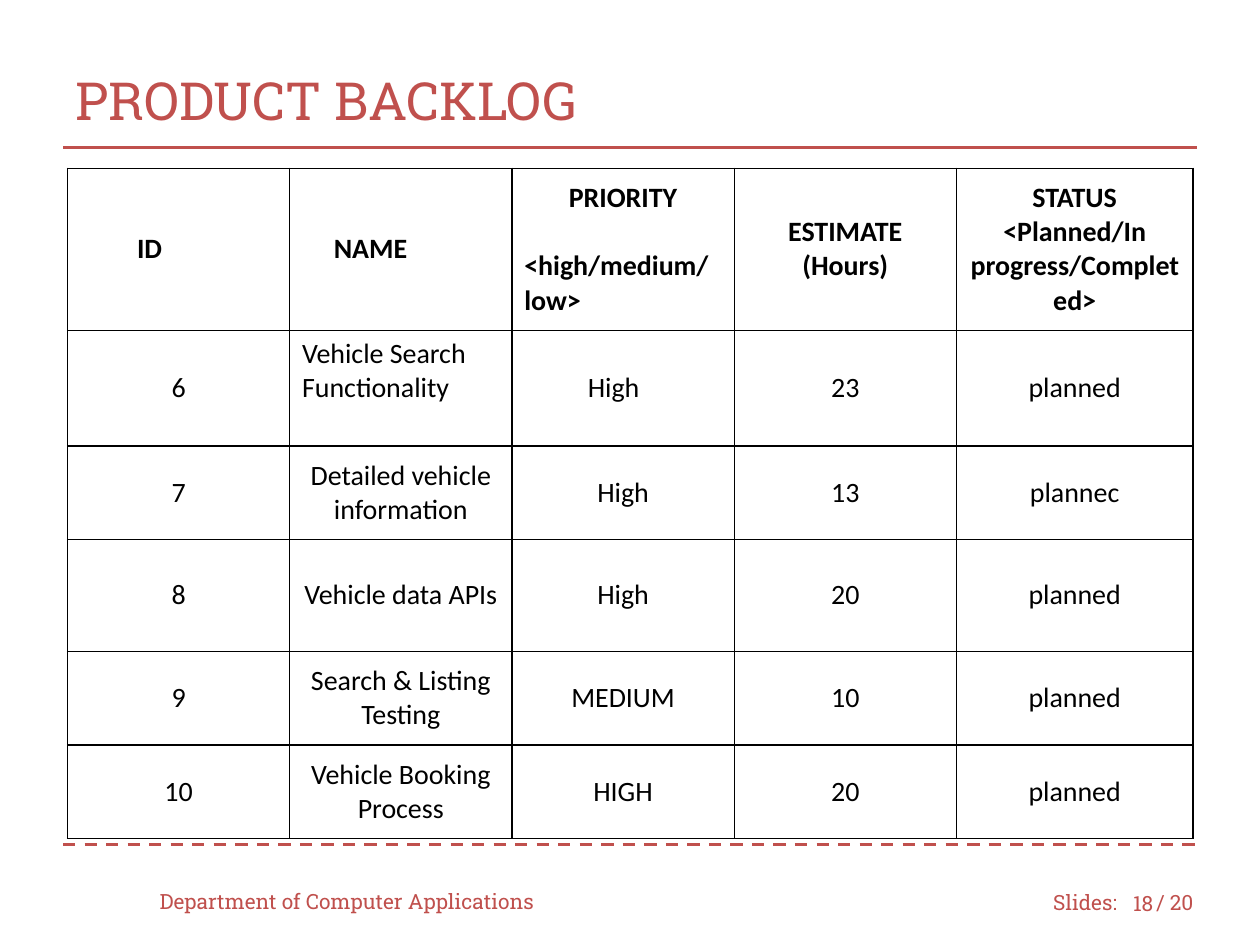
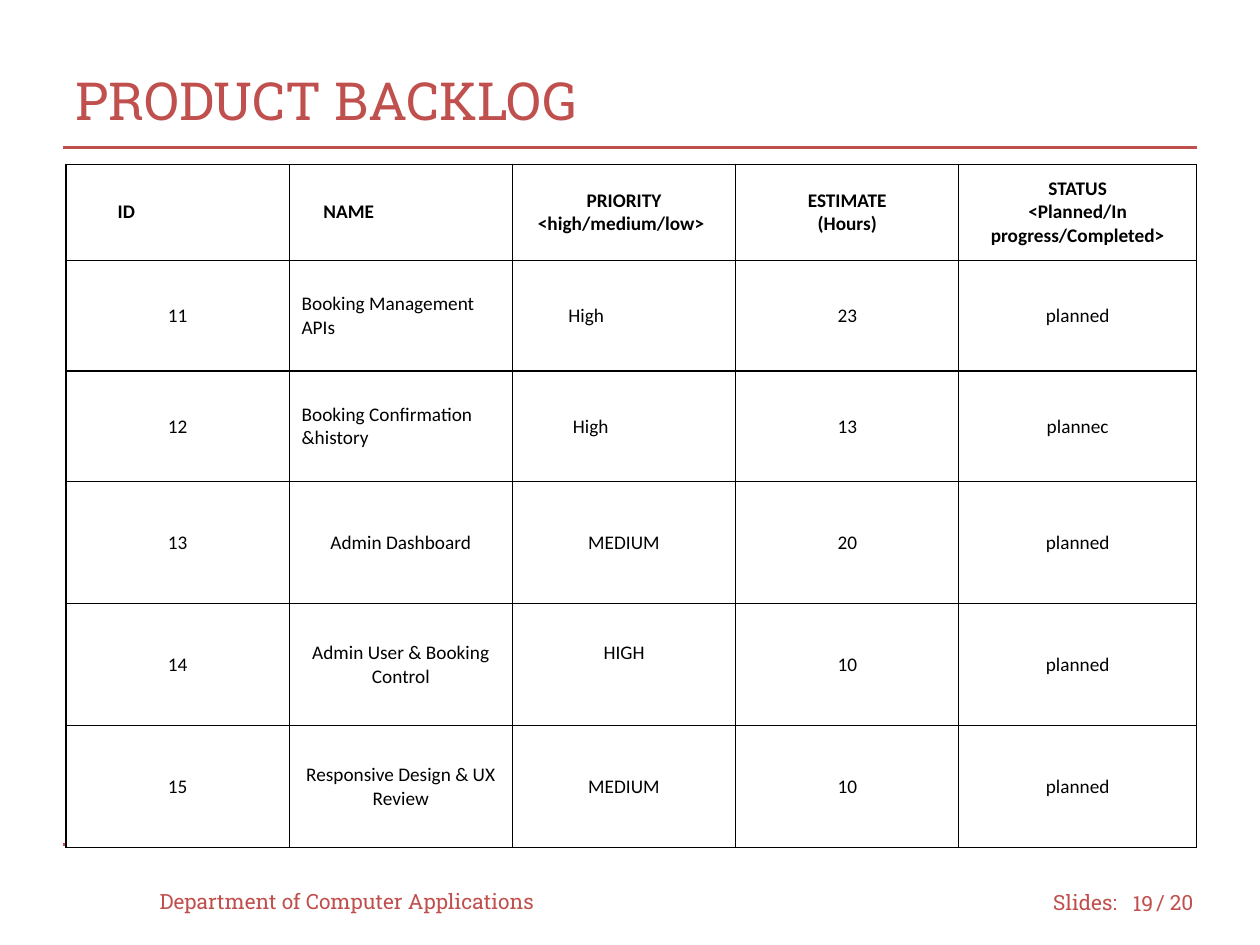
from dataclasses import dataclass

from lxml.etree import SubElement
from pptx import Presentation
from pptx.dml.color import RGBColor
from pptx.enum.dml import MSO_LINE
from pptx.enum.shapes import MSO_CONNECTOR
from pptx.enum.text import MSO_ANCHOR, PP_ALIGN
from pptx.oxml.ns import qn
from pptx.util import Cm, Pt

ACCENT, INK, PAPER = "C0504D", "000000", "FFFFFF"
DISPLAY_FONT, TABLE_FONT = "Roboto Slab", "Calibri"
SPACE_CM, LINE_CM = 0.008, 0.043
CELL_PAD = 0.13
RULE_LEFT, RULE_RIGHT = 1.27, 24.13


@dataclass(frozen=True)
class Line:
    """One paragraph; indent counts space widths, gap counts lines above it."""
    text: str
    indent: int | None = None
    gap: int = 0


@dataclass(frozen=True)
class Entry:
    """The lines of one table cell and the number of lines kept free below."""
    lines: tuple[Line, ...]
    spare: int = 0


@dataclass(frozen=True)
class Label:
    """A short footer text and its box in centimetres."""
    text: str
    left: float
    top: float
    width: float
    align: PP_ALIGN = PP_ALIGN.LEFT


@dataclass(frozen=True)
class Backlog:
    """One backlog page with its table measures in centimetres."""
    page: str
    size: int
    left: float
    top: float
    columns: tuple[float, ...]
    row_heights: tuple[float, ...]
    priority_scale: Line
    items: tuple[tuple[str | Entry, ...], ...]


FOOTER = (
    Label("Slides:", 20.98, 17.68, 1.9),
    Label("/ 20", 23.06, 17.68, 1.47),
    Label("Department of Computer Applications", 2.97, 17.65, 8.46),
)


def indented(text: str, indent: int = 0, spare: int = 0) -> Entry:
    """Return a left-aligned single-line entry."""
    return Entry((Line(text, indent),), spare)


BACKLOGS = (
    Backlog(
        "18", 16, 1.36, 3.39, (4.48,) * 4 + (4.77,),
        (3.27, 2.33, 1.88, 2.26, 1.89, 1.89),
        Line("<high/medium/low>", indent=0, gap=1),
        (
            ("6", indented("Vehicle Search Functionality", spare=1),
             indented("High", 10), "23", "planned"),
            ("7", "Detailed vehicle information", "High", "13", "plannec"),
            ("8", "Vehicle data APIs", "High", "20", "planned"),
            ("9", "Search & Listing Testing", "MEDIUM", "10", "planned"),
            ("10", "Vehicle Booking Process", "HIGH", "20", "planned"),
        ),
    ),
    Backlog(
        "19", 11, 1.33, 3.31, (4.5,) * 4 + (4.79,),
        (1.94,) + (2.23,) * 2 + (2.46,) * 3,
        Line("<high/medium/low>", indent=3),
        (
            ("11", indented("Booking Management APIs"),
             indented("High", 10), "23", "planned"),
            ("12", indented("Booking Confirmation &history"),
             indented("High", 11), "13", "plannec"),
            ("13", "Admin Dashboard", "MEDIUM", "20", "planned"),
            ("14", "Admin User & Booking Control",
             Entry((Line("HIGH"),), spare=1), "10", "planned"),
            ("15", "Responsive Design & UX Review", "MEDIUM", "10", "planned"),
        ),
    ),
)


def colour(value: str) -> RGBColor:
    """Turn a hex string into a colour."""
    return RGBColor.from_string(value)


def add_run(paragraph, text: str, size: int, font: str, ink: str,
            bold: bool = False) -> None:
    """Append one formatted run to a paragraph."""
    run = paragraph.add_run()
    run.text = text
    run.font.size = Pt(size)
    run.font.name = font
    run.font.bold = bold
    run.font.color.rgb = colour(ink)


def add_rule(slide, y: float, dash: MSO_LINE | None = None) -> None:
    """Draw a horizontal accent line across the content width."""
    rule = slide.shapes.add_connector(
        MSO_CONNECTOR.STRAIGHT, Cm(RULE_LEFT), Cm(y), Cm(RULE_RIGHT), Cm(y))
    rule.line.color.rgb = colour(ACCENT)
    rule.line.width = Pt(1.75)
    if dash is not None:
        rule.line.dash_style = dash
    SubElement(rule._element.spPr, qn("a:effectLst"))


def add_label(slide, label: Label) -> None:
    """Place one footer text."""
    frame = slide.shapes.add_textbox(
        Cm(label.left), Cm(label.top), Cm(label.width), Cm(1.02)).text_frame
    frame.word_wrap = True
    frame.vertical_anchor = MSO_ANCHOR.MIDDLE
    paragraph = frame.paragraphs[0]
    paragraph.alignment = label.align
    add_run(paragraph, label.text, 12, DISPLAY_FONT, ACCENT)


def set_title(slide, text: str) -> None:
    """Move, format and fill the title placeholder."""
    title = slide.shapes.title
    title.left, title.top = Cm(1.27), Cm(0.84)
    title.width, title.height = Cm(22.86), Cm(2.34)
    title.text_frame.vertical_anchor = MSO_ANCHOR.MIDDLE
    paragraph = title.text_frame.paragraphs[0]
    paragraph.alignment = PP_ALIGN.LEFT
    add_run(paragraph, text, 30, DISPLAY_FONT, ACCENT)


def add_borders(cell) -> None:
    """Give a cell thin lines on all four sides."""
    properties = cell._tc.get_or_add_tcPr()
    for side in ("a:lnL", "a:lnR", "a:lnT", "a:lnB"):
        border = SubElement(properties, qn(side), w=str(Pt(0.75)))
        SubElement(SubElement(border, qn("a:solidFill")), qn("a:srgbClr"), val=INK)


def fill_cell(cell, entry: Entry, size: int, bold: bool) -> None:
    """Format a cell and write its lines."""
    add_borders(cell)
    cell.fill.solid()
    cell.fill.fore_color.rgb = colour(PAPER)
    cell.vertical_anchor = MSO_ANCHOR.MIDDLE
    cell.margin_left = cell.margin_right = Cm(0.25)
    cell.margin_top = Cm(CELL_PAD)
    cell.margin_bottom = Cm(CELL_PAD + entry.spare * size * LINE_CM)
    frame = cell.text_frame
    for index, line in enumerate(entry.lines):
        paragraph = frame.add_paragraph() if index else frame.paragraphs[0]
        if line.indent is None:
            paragraph.alignment = PP_ALIGN.CENTER
        else:
            paragraph.alignment = PP_ALIGN.LEFT
            margin = Cm(line.indent * size * SPACE_CM)
            paragraph._p.get_or_add_pPr().set("marL", str(margin))
        if line.gap:
            paragraph.space_before = Cm(line.gap * size * LINE_CM)
        add_run(paragraph, line.text, size, TABLE_FONT, INK, bold)


def header_entries(backlog: Backlog) -> tuple[Entry, ...]:
    """Return the column heads of a backlog table."""
    return (
        indented("ID", 9),
        indented("NAME", 5),
        Entry((Line("PRIORITY"), backlog.priority_scale)),
        Entry((Line("ESTIMATE"), Line("(Hours)"))),
        Entry((Line("STATUS"), Line("<Planned/In progress/Completed>"))),
    )


def add_backlog_table(slide, backlog: Backlog) -> None:
    """Draw the backlog table."""
    rows = (header_entries(backlog),) + backlog.items
    table = slide.shapes.add_table(
        len(rows), len(backlog.columns), Cm(backlog.left), Cm(backlog.top),
        Cm(sum(backlog.columns)), Cm(sum(backlog.row_heights))).table
    table.horz_banding = False
    for column, width in zip(table.columns, backlog.columns):
        column.width = Cm(width)
    for row_index, (row, height) in enumerate(zip(rows, backlog.row_heights)):
        table.rows[row_index].height = Cm(height)
        for column_index, item in enumerate(row):
            entry = item if isinstance(item, Entry) else Entry((Line(item),))
            fill_cell(table.cell(row_index, column_index), entry,
                      backlog.size, bold=row_index == 0)


def add_backlog_slide(deck, backlog: Backlog) -> None:
    """Build one complete backlog slide."""
    slide = deck.slides.add_slide(deck.slide_layouts[5])
    slide.background.fill.solid()
    slide.background.fill.fore_color.rgb = colour(PAPER)
    add_rule(slide, 17.02, MSO_LINE.DASH)
    add_rule(slide, 2.97)
    set_title(slide, "PRODUCT BACKLOG")
    page_number = Label(backlog.page, 22.43, 17.7, 1.07, PP_ALIGN.RIGHT)
    for label in FOOTER + (page_number,):
        add_label(slide, label)
    add_backlog_table(slide, backlog)


def main() -> None:
    """Build and save the deck."""
    deck = Presentation()
    deck.slide_width, deck.slide_height = Cm(25.4), Cm(19.05)
    for backlog in BACKLOGS:
        add_backlog_slide(deck, backlog)
    deck.save("out.pptx")


if __name__ == "__main__":
    main()
